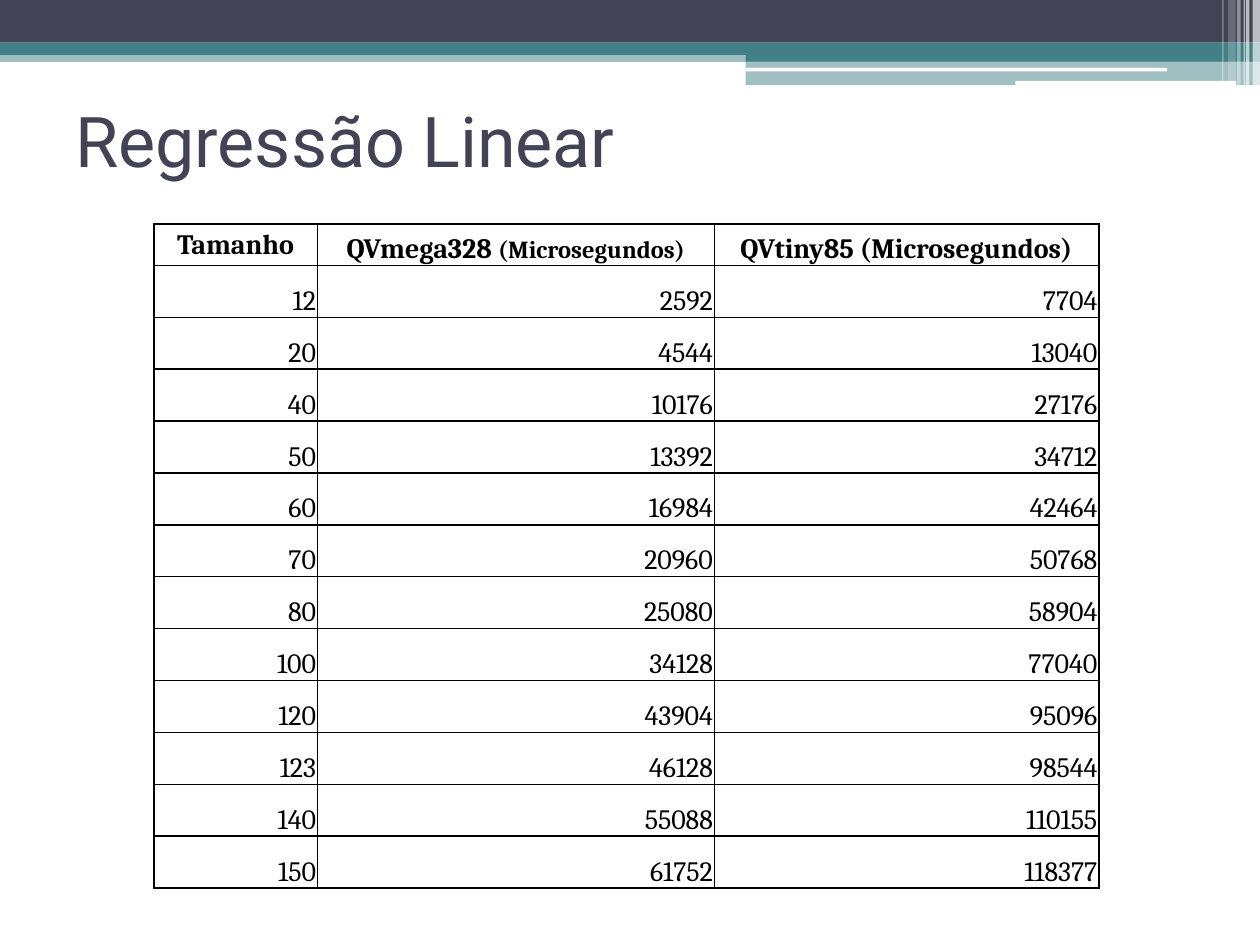
"""Builds a slide with a table of run times for two microcontrollers."""
from lxml.etree import SubElement
from pptx import Presentation
from pptx.dml.color import RGBColor
from pptx.enum.shapes import MSO_SHAPE
from pptx.enum.text import MSO_ANCHOR, PP_ALIGN
from pptx.oxml import parse_xml
from pptx.oxml.ns import nsdecls, qn
from pptx.util import Cm, Pt

NAVY = RGBColor(0x42, 0x44, 0x56)
TEAL = RGBColor(0x43, 0x80, 0x86)
WHITE = RGBColor(0xFF, 0xFF, 0xFF)
BLACK = RGBColor(0, 0, 0)

BANDS = [
    (0, 1.02, 25.4, 0.23, TEAL, 50),
    (0, 0, 25.4, 0.86, NAVY, 100),
    (0, 0.86, 25.4, 0.25, TEAL, 100),
    (15.03, 0.99, 10.37, 0.25, TEAL, 100),
    (15.03, 1.23, 10.37, 0.49, TEAL, 50),
]
HIGHLIGHTS = [(15.02, 1.37, 8.51, 0.07), (20.47, 1.63, 4.45, 0.1)]
STRIPES = [
    (25.25, 0.15, 1.73, 65),
    (25.12, 0.07, 1.73, 65),
    (25.07, 0.03, 1.73, 60),
    (24.94, 0.07, 1.73, 40),
    (24.76, 0.15, 1.63, 20),
    (24.64, 0.03, 1.63, 30),
]
HEADER = [
    [("Tamanho", 16)],
    [("QVmega328 ", 16), ("(Microsegundos)", 14)],
    [("QVtiny85 (Microsegundos)", 16)],
]
TIMES = [
    (12, 2592, 7704),
    (20, 4544, 13040),
    (40, 10176, 27176),
    (50, 13392, 34712),
    (60, 16984, 42464),
    (70, 20960, 50768),
    (80, 25080, 58904),
    (100, 34128, 77040),
    (120, 43904, 95096),
    (123, 46128, 98544),
    (140, 55088, 110155),
    (150, 61752, 118377),
]


class SlideBuilder:
    """Holds the fonts and the current slide."""

    title_font = "Roboto"
    table_font = "Cambria"

    def __init__(self, s):
        self.s = s

    def band(self, x, y, w, h, color, alpha=100, kind=MSO_SHAPE.RECTANGLE):
        sp = self.s.shapes.add_shape(kind, Cm(x), Cm(y), Cm(w), Cm(h))
        sp.shadow.inherit = False
        sp.line.fill.background()
        sp.fill.solid()
        sp.fill.fore_color.rgb = color
        if alpha < 100:
            clr = sp.fill._xPr.find(qn("a:solidFill"))[0]
            SubElement(clr, qn("a:alpha"), val=str(alpha * 1000))

    def title(self, text, x, y, w, h):
        tf = self.s.shapes.add_textbox(Cm(x), Cm(y), Cm(w), Cm(h)).text_frame
        tf.word_wrap = True
        tf.vertical_anchor = MSO_ANCHOR.MIDDLE
        p = tf.paragraphs[0]
        p.text = text
        p.font.name = self.title_font
        p.font.size = Pt(40)
        p.font.color.rgb = NAVY

    def cell(self, cell, runs, align, anchor, bold=False, spacing=None):
        cell.fill.background()
        cell.vertical_anchor = anchor
        cell.margin_left = cell.margin_right = cell.margin_top = Cm(0.03)
        cell.margin_bottom = 0
        p = cell.text_frame.paragraphs[0]
        p.alignment = align
        p.line_spacing = spacing
        p.font.name = self.table_font
        p.font.bold = bold
        p.font.color.rgb = BLACK
        for text, size in runs:
            r = p.add_run()
            r.text = text
            r.font.size = Pt(size)
        tcPr = cell._tc.get_or_add_tcPr()
        for i, side in enumerate(("lnL", "lnR", "lnT", "lnB")):
            tcPr.insert(i, parse_xml(
                f'<a:{side} {nsdecls("a")} w="{Pt(1)}"><a:solidFill>'
                f'<a:srgbClr val="{BLACK}"/></a:solidFill></a:{side}>'))

    def table(self, x, y, widths, header, rows, header_height, row_height):
        height = header_height + row_height * len(rows)
        table = self.s.shapes.add_table(
            len(rows) + 1, len(widths), Cm(x), Cm(y), Cm(sum(widths)), Cm(height)).table
        table.first_row = table.horz_banding = False
        for column, width in zip(table.columns, widths):
            column.width = Cm(width)
        for i, row in enumerate(table.rows):
            row.height = Cm(row_height if i else header_height)
        for c, runs in enumerate(header):
            anchor = MSO_ANCHOR.BOTTOM if c else MSO_ANCHOR.MIDDLE
            self.cell(table.cell(0, c), runs, PP_ALIGN.CENTER, anchor, bold=True)
        for i, values in enumerate(rows, 1):
            for c, value in enumerate(values):
                self.cell(table.cell(i, c), [(str(value), 16)], PP_ALIGN.RIGHT,
                          MSO_ANCHOR.BOTTOM, spacing=1.5)


def main():
    prs = Presentation()
    prs.slide_width, prs.slide_height = Cm(25.4), Cm(19.05)
    builder = SlideBuilder(prs.slides.add_slide(prs.slide_layouts[6]))
    for band in BANDS:
        builder.band(*band)
    for box in HIGHLIGHTS:
        builder.band(*box, WHITE, kind=MSO_SHAPE.ROUNDED_RECTANGLE)
    for x, w, h, alpha in STRIPES:
        builder.band(x, 0, w, h, WHITE, alpha)
    builder.title("Regressão Linear", 1.27, 1.32, 22.86, 2.97)
    builder.table(3.1, 4.52, (3.3, 8, 7.75), HEADER, TIMES, 0.83, 1)
    prs.save("out.pptx")


if __name__ == "__main__":
    main()
